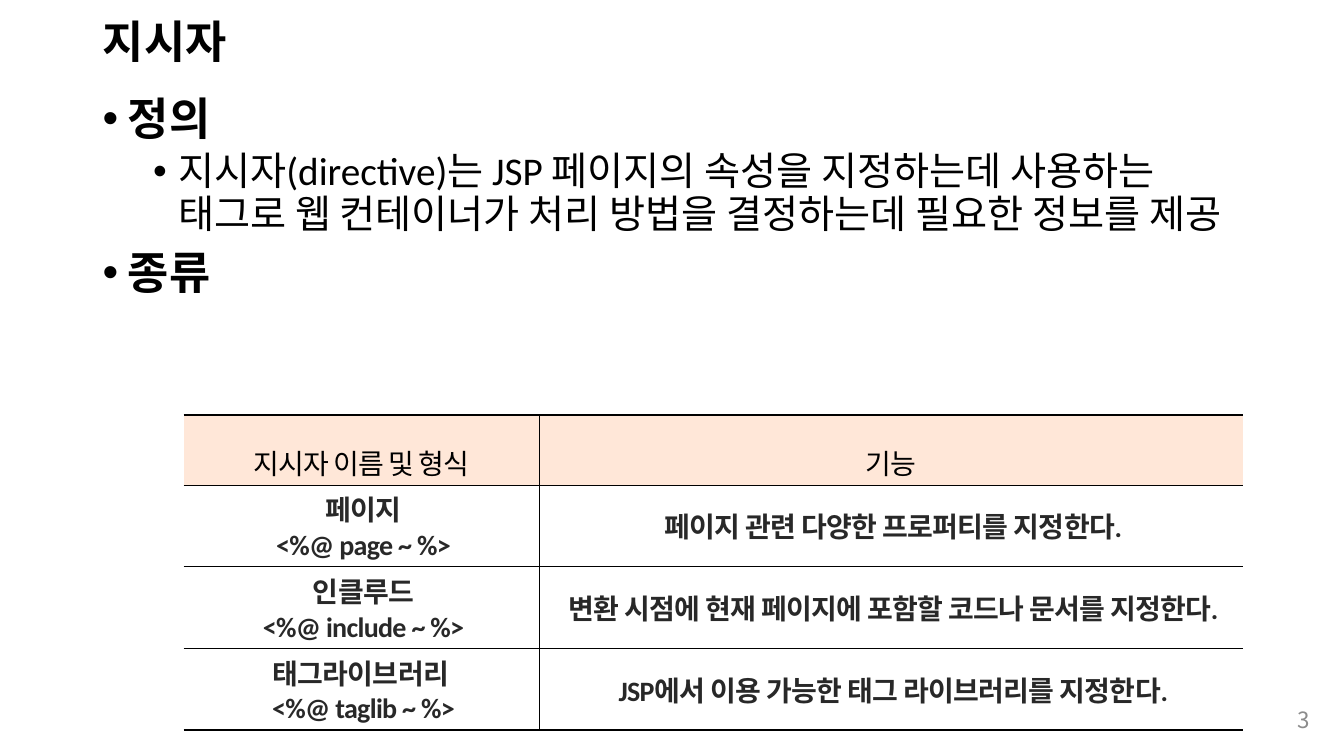
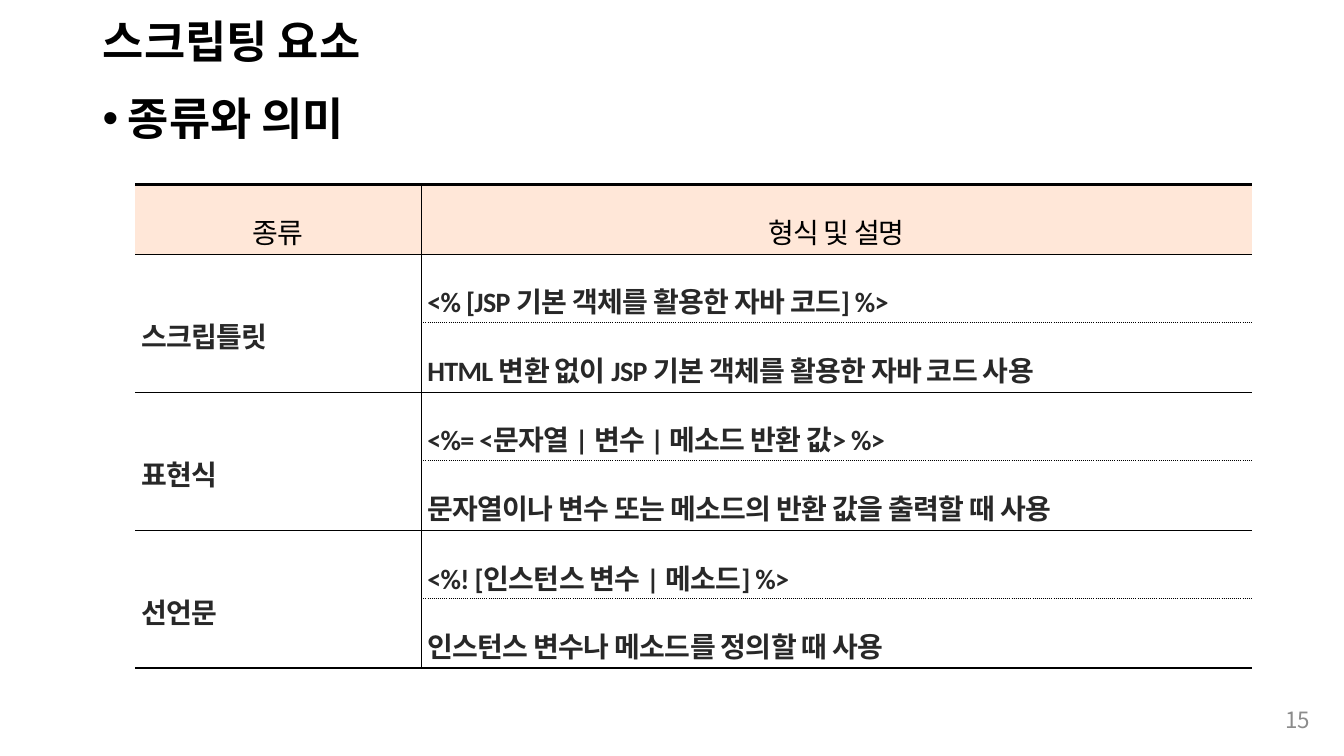
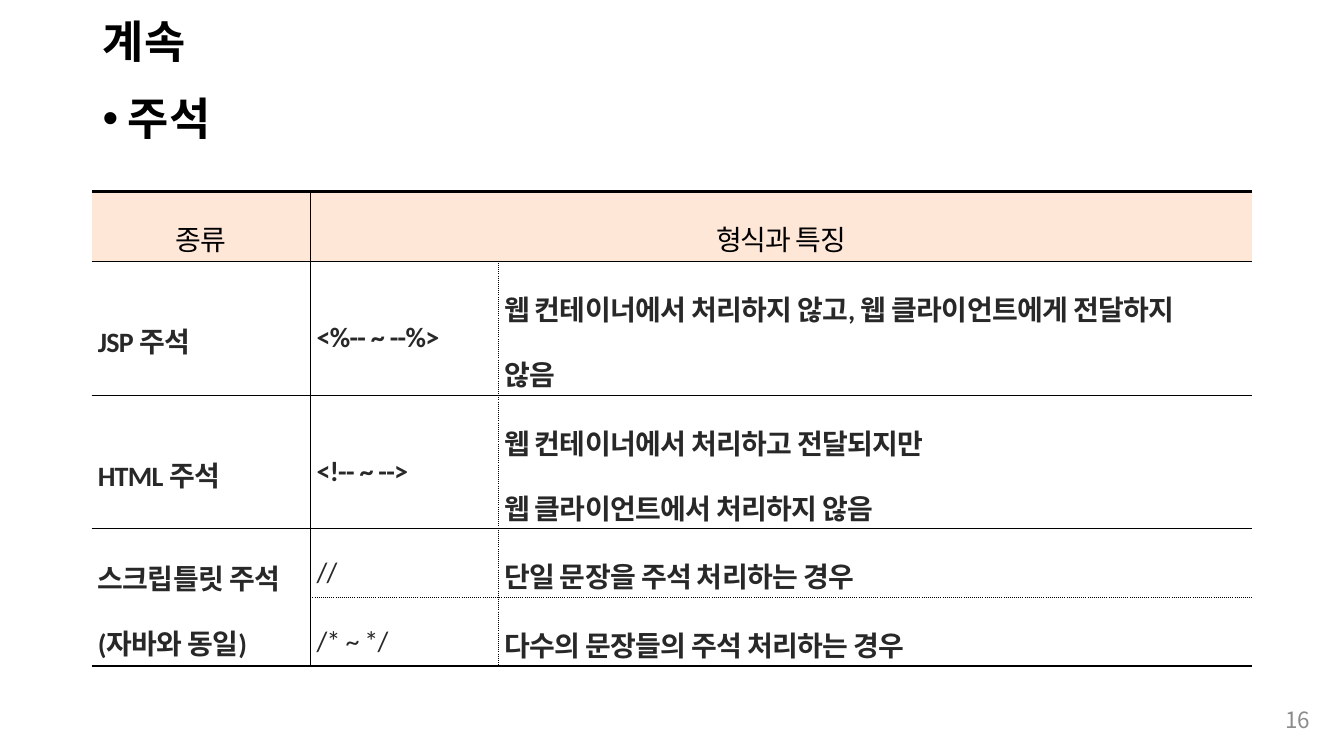
import pptx
import pptx.dml.color
import pptx.enum.text
import pptx.oxml.ns
import pptx.util
from lxml import etree

Inches = pptx.util.Inches
Pt = pptx.util.Pt
qn = pptx.oxml.ns.qn
ALIGN = pptx.enum.text.PP_ALIGN
MIDDLE = pptx.enum.text.MSO_ANCHOR.MIDDLE
TITLE_ONLY = 5
NO_GRID_STYLE = "{2D5ABB26-0587-4C30-8999-92F81FD0307C}"

COLORS = {"text": "000000", "cell": "282828", "number": "8C8C8C",
          "header": "FFE7D8", "rule": "000000"}
LATIN, KOREAN = "Calibri", "Noto Sans CJK KR"

TITLE_BOX = (0.92, 0.06, 11.5, 0.75)
OUTLINE_BOX = (0.92, 0.91, 11.5, 5.85)
NUMBER_BOX = (12.52, 6.94, 0.57, 0.4)

HEADING = {"size": Pt(32), "bold": True, "name": LATIN}
DETAIL = {"size": Pt(28), "bold": False, "name": LATIN}
NUMBER = {"size": Pt(16), "bold": False, "name": KOREAN}
CELL = {"size": Pt(20), "bold": True, "name": LATIN}
PLAIN_CELL = {**CELL, "bold": False}

# level: (font, left margin in inches, space before in points)
OUTLINE_LEVELS = [(HEADING, 0.25, 10), (DETAIL, 0.75, 5)]
# border: (width in points, dash)
THICK, THIN, DOTTED = (1.7, "solid"), (0.28, "solid"), (0.28, "dot")


def set_attributes(target, values):
    for name, value in values.items():
        setattr(target, name, value)


def style_runs(paragraph, font, color, spacing=0):
    for run in paragraph.runs:
        set_attributes(run.font, font)
        run.font.color.rgb = pptx.dml.color.RGBColor.from_string(COLORS[color])
        if spacing:
            run._r.get_or_add_rPr().set("spc", str(round(spacing * 100)))


def place(box):
    return [Inches(length) for length in box]


def add_title(slide, text):
    title = slide.shapes.title
    set_attributes(title, dict(zip(("left", "top", "width", "height"), place(TITLE_BOX))))
    frame = title.text_frame
    set_attributes(frame, {"text": text, "word_wrap": True, "vertical_anchor": MIDDLE,
                           "auto_size": pptx.enum.text.MSO_AUTO_SIZE.NONE})
    paragraph = frame.paragraphs[0]
    set_attributes(paragraph, {"alignment": ALIGN.LEFT, "line_spacing": 0.9})
    style_runs(paragraph, HEADING, "text")


def add_outline(slide, items):
    """Add bulleted lines given as (level, text)."""
    frame = slide.shapes.add_textbox(*place(OUTLINE_BOX)).text_frame
    frame.word_wrap = True
    for index, (level, text) in enumerate(items):
        font, margin, before = OUTLINE_LEVELS[level]
        paragraph = frame.add_paragraph() if index else frame.paragraphs[0]
        properties = paragraph._p.get_or_add_pPr()
        properties.set("marL", str(Inches(margin)))
        properties.set("indent", str(Inches(-0.25)))
        etree.SubElement(properties, qn("a:buFont"), typeface="Arial")
        etree.SubElement(properties, qn("a:buChar"), char="•")
        set_attributes(paragraph, {"text": text, "level": level, "line_spacing": 0.9,
                                   "space_before": Pt(before if index else 0)})
        style_runs(paragraph, font, "text")


def add_page_number(slide, number):
    frame = slide.shapes.add_textbox(*place(NUMBER_BOX)).text_frame
    set_attributes(frame, {"text": str(number), "word_wrap": True, "vertical_anchor": MIDDLE})
    frame.paragraphs[0].alignment = ALIGN.RIGHT
    style_runs(frame.paragraphs[0], NUMBER, "number")


def set_border(cell, side, border):
    line = etree.SubElement(cell._tc.get_or_add_tcPr(), qn("a:ln" + side))
    if border is None:
        etree.SubElement(line, qn("a:noFill"))
        return
    width, dash = border
    line.set("w", str(Pt(width)))
    fill = etree.SubElement(line, qn("a:solidFill"))
    etree.SubElement(fill, qn("a:srgbClr"), val=COLORS["rule"])
    etree.SubElement(line, qn("a:prstDash"), val=dash)


def fill_cell(cell, text, is_header, alignment, line_spacing, plain):
    """Write a cell; a newline starts a paragraph, a vertical tab a line."""
    margins = {"margin_" + side: Inches(0.02) for side in ("left", "right", "top", "bottom")}
    set_attributes(cell, {"text": text, "vertical_anchor": MIDDLE, **margins})
    for paragraph in cell.text_frame.paragraphs:
        paragraph.line_spacing = 1.6 if is_header else line_spacing
        paragraph.alignment = ALIGN.CENTER if is_header else alignment
        if is_header:
            style_runs(paragraph, PLAIN_CELL, "text", -0.7)
        else:
            paragraph._p.get_or_add_pPr().set("marL", str(Inches(0.04)))
            style_runs(paragraph, PLAIN_CELL if plain else CELL, "cell", -0.5)
    if is_header:
        cell.fill.solid()
        cell.fill.fore_color.rgb = pptx.dml.color.RGBColor.from_string(COLORS["header"])
    else:
        cell.fill.background()


def add_ruled_table(slide, left, top, widths, heights, rows, merges=(), alignment=ALIGN.LEFT,
                    line_spacing=1.6, dotted_rows=(), dotted_columns=(), plain_texts=()):
    """Add a table with open sides, thick top and bottom rules and chosen dotted edges."""
    box = place((left, top, sum(widths), sum(heights)))
    table = slide.shapes.add_table(len(heights), len(widths), *box).table
    set_attributes(table, {"first_row": False, "horz_banding": False})
    table._tbl.tblPr.find(qn("a:tableStyleId")).text = NO_GRID_STYLE
    for column, width in zip(table.columns, widths):
        column.width = Inches(width)
    for row, height in zip(table.rows, heights):
        row.height = Inches(height)
    for first, last in merges:
        table.cell(*first).merge(table.cell(*last))

    def row_edge(index):
        if index in (0, len(heights)):
            return THICK
        return DOTTED if index in dotted_rows else THIN

    def column_edge(index):
        if index in (0, len(widths)):
            return None
        return DOTTED if index in dotted_columns else THIN

    for y, texts in enumerate(rows):
        for x, text in enumerate(texts):
            cell = table.cell(y, x)
            if cell.is_spanned:
                continue
            right, bottom = x + cell.span_width, y + cell.span_height
            for side, border in (("L", column_edge(x)), ("R", column_edge(right)),
                                 ("T", row_edge(y)), ("B", row_edge(bottom))):
                set_border(cell, side, border)
            fill_cell(cell, text, y == 0, alignment, line_spacing, text in plain_texts)


SLIDES = [
    {"title": "지시자", "number": 3,
     "outline": [
         (0, "정의"),
         (1, "지시자(directive)는 JSP 페이지의 속성을 지정하는데 사용하는 "
             "태그로 웹 컨테이너가 처리 방법을 결정하는데 필요한 정보를 제공"),
         (0, "종류")],
     "table": {
         "left": 1.82, "top": 4.12, "widths": [3.53, 6.98], "heights": [0.69] + [0.81] * 3,
         "alignment": ALIGN.CENTER, "line_spacing": 1.0,
         "rows": [
             ("지시자 이름 및 형식", "기능"),
             ("페이지\n<%@ page ~ %>", "페이지 관련 다양한 프로퍼티를 지정한다."),
             ("인클루드\v<%@ include ~ %>",
              "변환 시점에 현재 페이지에 포함할 코드나 문서를 지정한다."),
             ("태그라이브러리 \n<%@ taglib ~ %>",
              "JSP에서 이용 가능한 태그 라이브러리를 지정한다.")]}},
    {"title": "스크립팅 요소", "number": 15,
     "outline": [(0, "종류와 의미")],
     "table": {
         "left": 1.34, "top": 1.83, "widths": [2.84, 8.24],
         "heights": [0.69] + [0.68, 0.69] * 3,
         "alignment": ALIGN.JUSTIFY, "dotted_rows": (2, 4, 6),
         "merges": [((y, 0), (y + 1, 0)) for y in (1, 3, 5)],
         "rows": [
             ("종류", "형식 및 설명"),
             ("스크립틀릿", "<% [JSP 기본 객체를 활용한 자바 코드] %>"),
             ("", "HTML 변환 없이 JSP 기본 객체를 활용한 자바 코드 사용"),
             ("표현식", "<%= <문자열 | 변수 | 메소드 반환 값> %>"),
             ("", "문자열이나 변수 또는 메소드의 반환 값을 출력할 때 사용"),
             ("선언문", "<%! [인스턴스 변수 | 메소드] %>"),
             ("", "인스턴스 변수나 메소드를 정의할 때 사용")]}},
    {"title": "계속", "number": 16,
     "outline": [(0, "주석")],
     "table": {
         "left": 0.91, "top": 1.9, "widths": [2.17, 1.86, 7.48],
         "heights": [0.69, 1.33, 1.32, 0.69, 0.68],
         "dotted_rows": (4,), "dotted_columns": (2,), "plain_texts": ("//", "/* ~ */"),
         "merges": [((0, 1), (0, 2)), ((3, 0), (4, 0))],
         "rows": [
             ("종류", "형식과 특징", ""),
             ("JSP 주석", "<%-- ~ --%>",
              "웹 컨테이너에서 처리하지 않고, 웹 클라이언트에게 전달하지\v않음"),
             ("HTML 주석", "<!-- ~ -->",
              "웹 컨테이너에서 처리하고 전달되지만\v웹 클라이언트에서 처리하지 않음"),
             ("스크립틀릿 주석\n(자바와 동일)", "//", "단일 문장을 주석 처리하는 경우"),
             ("", "/* ~ */", "다수의 문장들의 주석 처리하는 경우")]}},
]


def main():
    deck = pptx.Presentation()
    set_attributes(deck, {"slide_width": Inches(13.33), "slide_height": Inches(7.5)})
    for content in SLIDES:
        slide = deck.slides.add_slide(deck.slide_layouts[TITLE_ONLY])
        add_title(slide, content["title"])
        add_outline(slide, content["outline"])
        add_page_number(slide, content["number"])
        add_ruled_table(slide, **content["table"])
    deck.save("out.pptx")


if __name__ == "__main__":
    main()
